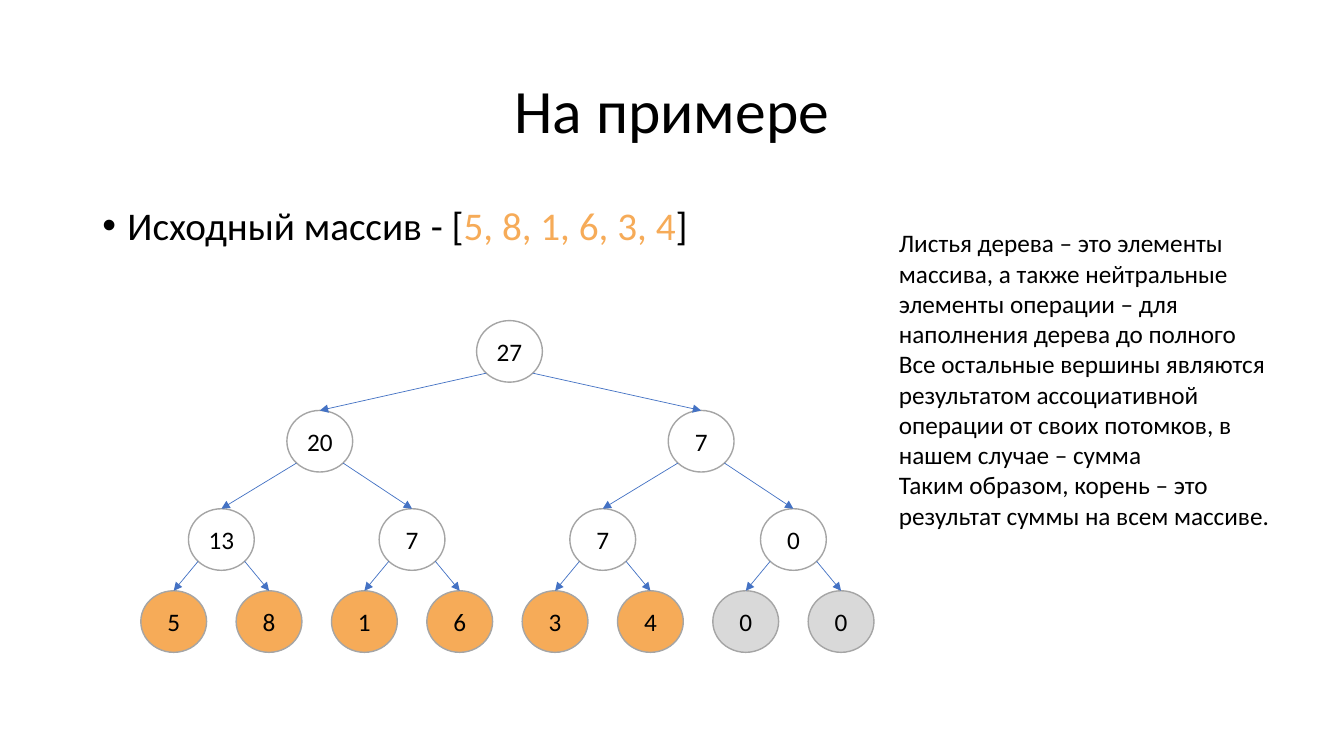
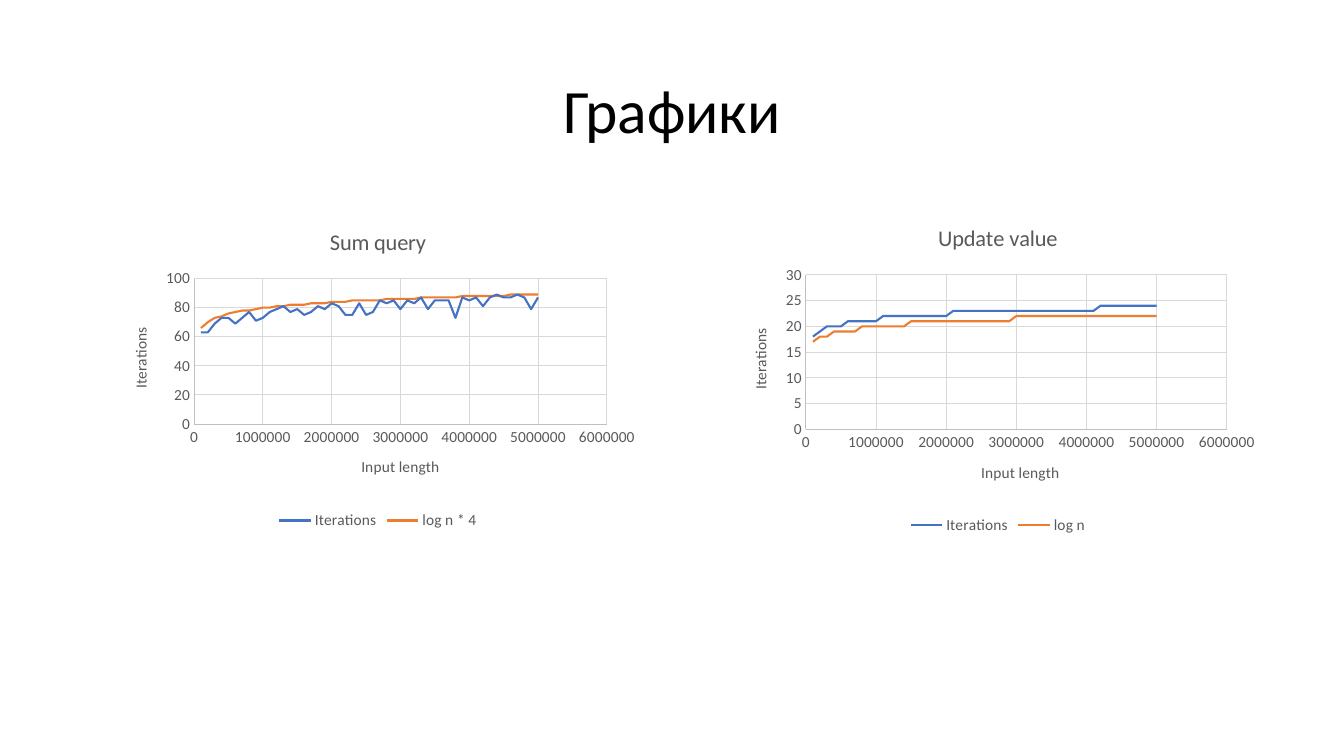
from dataclasses import dataclass
from math import log2, sqrt

from lxml.etree import SubElement
from pptx import Presentation
from pptx.chart.axis import ValueAxis
from pptx.chart.data import XyChartData
from pptx.dml.color import RGBColor
from pptx.enum.chart import XL_CHART_TYPE, XL_LEGEND_POSITION, XL_TICK_MARK
from pptx.enum.shapes import MSO_CONNECTOR, MSO_SHAPE
from pptx.enum.text import MSO_ANCHOR, MSO_AUTO_SIZE, PP_ALIGN
from pptx.oxml.ns import qn
from pptx.shapes.autoshape import Shape
from pptx.slide import Slide
from pptx.text.text import Font, TextFrame
from pptx.util import Pt


@dataclass(frozen=True)
class Theme:
    """Colours, font and type sizes of the deck."""
    font: str = "Calibri"
    ink: str = "000000"
    paper: str = "FFFFFF"
    item: str = "F6AB58"
    neutral: str = "D9D9D9"
    outline: str = "A5A5A5"
    arrow: str = "4472C4"
    label: str = "595959"
    axis: str = "BFBFBF"
    grid: str = "D9D9D9"
    series: tuple[str, ...] = ("4472C4", "ED7D31")
    title_size: float = 44
    body_size: float = 28
    text_size: float = 18
    chart_title_size: float = 16
    chart_size: float = 11


@dataclass(frozen=True)
class Box:
    """A rectangle in points."""
    left: float
    top: float
    width: float
    height: float


@dataclass(frozen=True)
class Row:
    """A tree level: its top edge and its shift from the leaf midpoints."""
    top: float
    shift: float = 0


@dataclass(frozen=True)
class Graph:
    """A scatter chart; plot holds the plot area as shares of the frame."""
    title: str
    frame: Box
    plot: tuple[float, float, float, float]
    maximum: float
    step: float
    series: dict[str, list[int]]


THEME = Theme()
TITLE_BOX = Box(66, 28.8, 828, 104.4)
BODY_BOX = Box(66, 144, 828, 342.7)
SIDE_BOX = Box(635, 159.1, 282.2, 225.4)

ARRAY = [5, 8, 1, 6, 3, 4]
NEUTRAL = 0
NODE_WIDTH, NODE_HEIGHT = 47, 44
FIRST_LEAF, LEAF_PITCH = 100.6, 68.1
ROWS = [Row(229, 1.5), Row(293.2, 2.2), Row(363.4), Row(422)]

SIDE_TEXT = [
    "Листья дерева – это элементы массива, а также нейтральные элементы "
    "операции – для наполнения дерева до полного",
    "Все остальные вершины являются результатом ассоциативной операции "
    "от своих потомков, в нашем случае – сумма",
    "Таким образом, корень – это результат суммы на всем массиве.",
]

LENGTHS = range(100_000, 5_000_001, 100_000)
SUM_ITERATIONS = [
    63, 63, 69, 73, 73, 69, 73, 77, 71, 73, 77, 79, 81, 77, 79, 75, 77,
    81, 79, 83, 81, 75, 75, 83, 75, 77, 85, 83, 85, 79, 85, 83, 87, 79,
    85, 85, 85, 73, 87, 85, 87, 81, 87, 89, 87, 87, 89, 87, 79, 87,
]
UPDATE_RUNS = {18: 1, 19: 1, 20: 3, 21: 5, 22: 10, 23: 21, 24: 9}
GRAPHS = [
    Graph("Sum query", Box(78.5, 150.5, 383, 231), (0.157, 0.21, 0.77, 0.45),
          100, 20, {"Iterations": SUM_ITERATIONS,
                    "log n * 4": [round(4 * log2(n)) for n in LENGTHS]}),
    Graph("Update value", Box(521.3, 147.6, 383, 237), (0.142, 0.206, 0.785, 0.465),
          30, 5, {"Iterations": [value for value, count in UPDATE_RUNS.items()
                                 for _ in range(count)],
                  "log n": [round(log2(n)) for n in LENGTHS]}),
]


def rgb(colour: str) -> RGBColor:
    """Turn a hex code into a colour."""
    return RGBColor.from_string(colour)


def style_font(font: Font, size: float, colour: str) -> None:
    """Apply the deck font with a size and colour."""
    font.name, font.size, font.bold = THEME.font, Pt(size), False
    font.color.rgb = rgb(colour)


def write(frame: TextFrame, *lines: str | list[tuple[str, str]], size: float,
          align: PP_ALIGN = PP_ALIGN.LEFT, anchor: MSO_ANCHOR = MSO_ANCHOR.TOP,
          spacing: float = 1, before: float = 0, bullet: str = "",
          indent: float = 0, grow: bool = False) -> None:
    """Write each line as a paragraph; a line is text or (text, colour) spans."""
    frame.word_wrap = True
    frame.vertical_anchor = anchor
    frame.auto_size = MSO_AUTO_SIZE.SHAPE_TO_FIT_TEXT if grow else MSO_AUTO_SIZE.NONE
    for index, line in enumerate(lines):
        para = frame.add_paragraph() if index else frame.paragraphs[0]
        para.alignment, para.line_spacing = align, spacing
        para.space_before = Pt(before)
        if bullet:
            properties = para._p.get_or_add_pPr()
            properties.set("marL", str(Pt(indent)))
            properties.set("indent", str(-Pt(indent)))
            SubElement(properties, qn("a:buFont")).set("typeface", "Arial")
            SubElement(properties, qn("a:buChar")).set("char", bullet)
        for text, colour in [(line, THEME.ink)] if isinstance(line, str) else line:
            span = para.add_run()
            span.text = text
            style_font(span.font, size, colour)


def add_text(page: Slide, box: Box) -> TextFrame:
    """Add a text box and return its frame."""
    return page.shapes.add_textbox(
        Pt(box.left), Pt(box.top), Pt(box.width), Pt(box.height)).text_frame


def add_page(deck: Presentation, title: str) -> Slide:
    """Add a blank slide with the shared title."""
    page = deck.slides.add_slide(deck.slide_layouts[6])
    write(add_text(page, TITLE_BOX), title, size=THEME.title_size,
          align=PP_ALIGN.CENTER, anchor=MSO_ANCHOR.MIDDLE, spacing=0.9)
    return page


def add_node(page: Slide, value: int, left: float, top: float, fill: str) -> Shape:
    """Draw one tree vertex."""
    node = page.shapes.add_shape(
        MSO_SHAPE.OVAL, Pt(left), Pt(top), Pt(NODE_WIDTH), Pt(NODE_HEIGHT))
    node.shadow.inherit = False
    node.fill.solid()
    node.fill.fore_color.rgb = rgb(fill)
    node.line.color.rgb = rgb(THEME.outline)
    node.line.width = Pt(1)
    frame = node.text_frame
    frame.margin_left = frame.margin_right = Pt(0)
    write(frame, str(value), size=THEME.text_size,
          align=PP_ALIGN.CENTER, anchor=MSO_ANCHOR.MIDDLE)
    return node


def add_arrow(page: Slide, parent: Shape, child: Shape, side: int) -> None:
    """Link the lower left (-1) or right (1) of a parent to its child's top."""
    reach = 1 / sqrt(2)
    start_x = parent.left + round(parent.width / 2 * (1 + side * reach))
    start_y = parent.top + round(parent.height / 2 * (1 + reach))
    arrow = page.shapes.add_connector(
        MSO_CONNECTOR.STRAIGHT, start_x, start_y,
        child.left + child.width // 2, child.top)
    arrow.end_connect(child, 0)
    arrow.line.color.rgb = rgb(THEME.arrow)
    arrow.line.width = Pt(0.5)
    SubElement(arrow.line._get_or_add_ln(), qn("a:tailEnd")).set("type", "triangle")
    SubElement(arrow._element.spPr, qn("a:effectLst"))


def add_tree(page: Slide) -> None:
    """Draw the segment tree from its leaves up to the root."""
    leaf_count = 2 ** (len(ROWS) - 1)
    values = ARRAY + [NEUTRAL] * (leaf_count - len(ARRAY))
    lefts = [FIRST_LEAF + LEAF_PITCH * index for index in range(leaf_count)]
    children: list[Shape] = []
    for row in reversed(ROWS):
        fills = [THEME.paper] * len(values)
        if not children:
            fills = [THEME.item if index < len(ARRAY) else THEME.neutral
                     for index in range(leaf_count)]
        nodes = [add_node(page, value, left + row.shift, row.top, fill)
                 for value, left, fill in zip(values, lefts, fills)]
        for index, child in enumerate(children):
            add_arrow(page, nodes[index // 2], child, 1 if index % 2 else -1)
        children = nodes
        values = [sum(pair) for pair in zip(values[::2], values[1::2])]
        lefts = [sum(pair) / 2 for pair in zip(lefts[::2], lefts[1::2])]


def style_axis(axis: ValueAxis, title: str, maximum: float, step: float) -> None:
    """Give an axis its scale, title, lines and labels."""
    axis.minimum_scale, axis.maximum_scale, axis.major_unit = 0, maximum, step
    axis.major_tick_mark = axis.minor_tick_mark = XL_TICK_MARK.NONE
    axis.has_major_gridlines = True
    for line, colour in ((axis.format.line, THEME.axis),
                         (axis.major_gridlines.format.line, THEME.grid)):
        line.color.rgb = rgb(colour)
        line.width = Pt(0.75)
    style_font(axis.tick_labels.font, THEME.chart_size, THEME.label)
    axis.tick_labels.number_format = "General"
    axis.tick_labels.number_format_is_linked = False
    frame = axis.axis_title.text_frame
    frame.text = title
    style_font(frame.paragraphs[0].runs[0].font, THEME.chart_size, THEME.label)


def add_graph(page: Slide, graph: Graph) -> None:
    """Draw a smooth scatter chart."""
    data = XyChartData()
    for name, values in graph.series.items():
        series = data.add_series(name)
        for length, value in zip(LENGTHS, values):
            series.add_data_point(length, value)
    box = graph.frame
    chart = page.shapes.add_chart(
        XL_CHART_TYPE.XY_SCATTER_SMOOTH_NO_MARKERS, Pt(box.left), Pt(box.top),
        Pt(box.width), Pt(box.height), data).chart
    style_font(chart.font, THEME.chart_size, THEME.ink)
    chart.has_title = True
    chart.chart_title.include_in_layout = False
    frame = chart.chart_title.text_frame
    frame.text = graph.title
    style_font(frame.paragraphs[0].runs[0].font, THEME.chart_title_size, THEME.label)
    chart.has_legend = True
    chart.legend.position = XL_LEGEND_POSITION.BOTTOM
    chart.legend.include_in_layout = False
    style_font(chart.legend.font, THEME.chart_size, THEME.label)
    style_axis(chart.category_axis, "Input length", 6_000_000, 1_000_000)
    style_axis(chart.value_axis, "Iterations", graph.maximum, graph.step)
    chart.plots[0].vary_by_categories = False
    for series, colour in zip(chart.plots[0].series, THEME.series):
        series.smooth = True
        series.format.line.color.rgb = rgb(colour)
        series.format.line.width = Pt(1.5)
    place_plot(chart._chartSpace.find(".//" + qn("c:plotArea")), graph.plot)


def place_plot(area, shares: tuple[float, float, float, float]) -> None:
    """Fix the inner plot area as shares of the chart frame."""
    for old in area.findall(qn("c:layout")):
        area.remove(old)
    layout = SubElement(area, qn("c:layout"))
    area.insert(0, layout)
    manual = SubElement(layout, qn("c:manualLayout"))
    settings = {"layoutTarget": "inner", "xMode": "edge", "yMode": "edge",
                **dict(zip("xywh", shares))}
    for name, value in settings.items():
        SubElement(manual, qn(f"c:{name}")).set("val", str(value))


def build_example(deck: Presentation) -> None:
    """Build the slide with the example tree."""
    page = add_page(deck, "На примере")
    items = ", ".join(map(str, ARRAY))
    write(add_text(page, BODY_BOX),
          [("Исходный массив - [", THEME.ink), (items, THEME.item), ("]", THEME.ink)],
          size=THEME.body_size, spacing=0.9, before=10, bullet="•", indent=18)
    add_tree(page)
    write(add_text(page, SIDE_BOX), *SIDE_TEXT, size=THEME.text_size, grow=True)


def build_graphs(deck: Presentation) -> None:
    """Build the slide with both charts."""
    page = add_page(deck, "Графики")
    for graph in GRAPHS:
        add_graph(page, graph)


def main() -> None:
    """Build and save the deck."""
    deck = Presentation()
    deck.slide_width, deck.slide_height = Pt(960), Pt(540)
    build_example(deck)
    build_graphs(deck)
    deck.save("out.pptx")


main()
